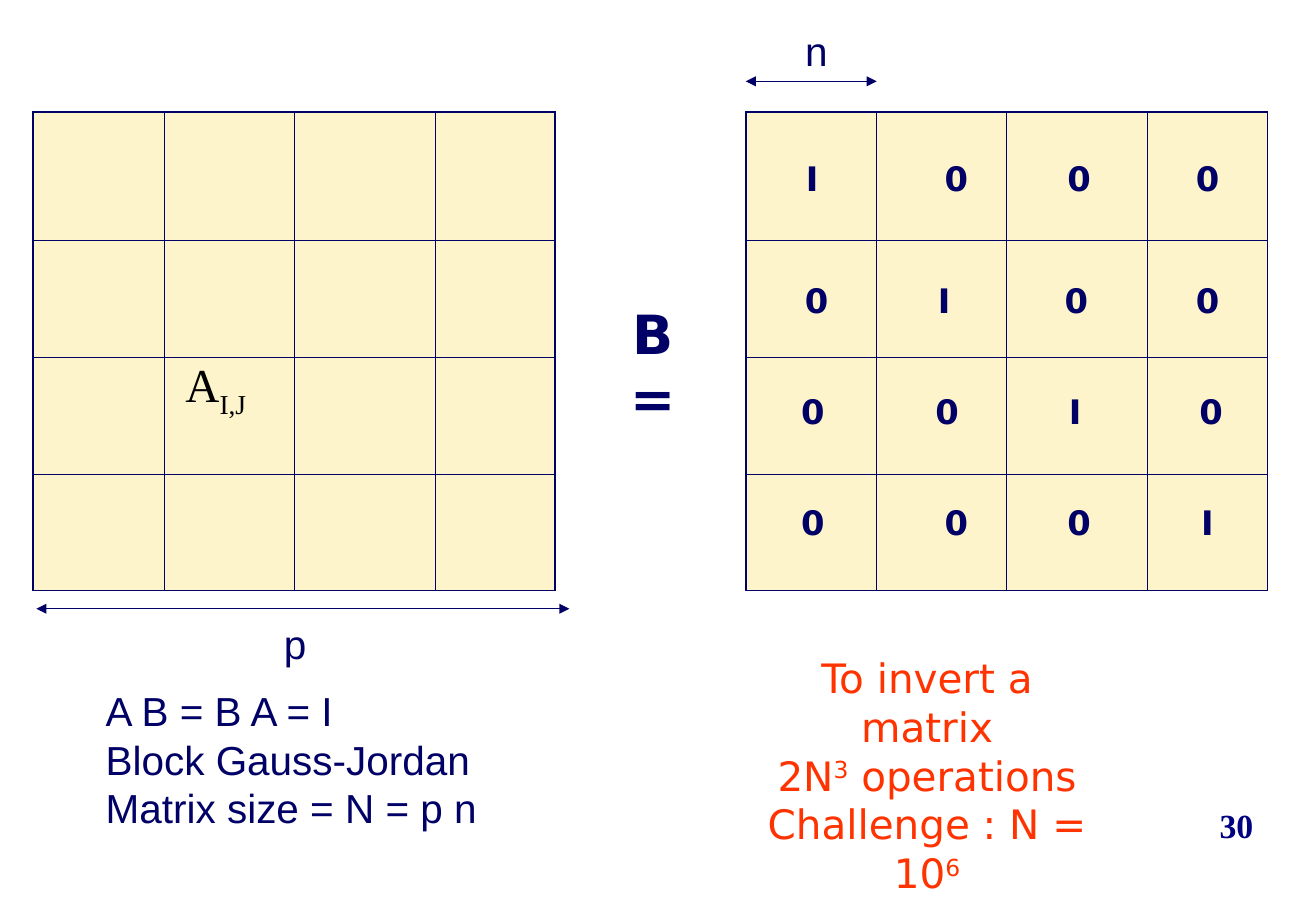
from lxml import etree
from pptx import Presentation
from pptx.dml.color import RGBColor
from pptx.enum import shapes, text
from pptx.oxml import ns
from pptx.util import Cm, Pt

NAVY = RGBColor(0x00, 0x00, 0x66)
PAGE_BLUE = RGBColor(0x00, 0x00, 0x80)
CREAM = RGBColor(0xFE, 0xF4, 0xCB)
RED = RGBColor(0xFF, 0x33, 0x00)
BLACK = RGBColor(0x00, 0x00, 0x00)
LEFT, CENTER, RIGHT = text.PP_ALIGN.LEFT, text.PP_ALIGN.CENTER, text.PP_ALIGN.RIGHT

deck = Presentation()
deck.slide_width, deck.slide_height = Cm(27.53), Cm(19.05)
slide = deck.slides.add_slide(deck.slide_layouts[6])


def write(frame, lines, size, font, color, align=LEFT, bold=False):
    for number, pieces in enumerate(lines):
        paragraph = frame.add_paragraph() if number else frame.paragraphs[0]
        paragraph.alignment = align
        paragraph.line_spacing = Pt(1.2 * size)
        paragraph.font.size = Pt(size)
        paragraph.font.name = font
        paragraph.font.bold = bold
        paragraph.font.color.rgb = color
        for wording, baseline in pieces:
            run = paragraph.add_run()
            run.text = wording
            if baseline:
                run._r.get_or_add_rPr().set("baseline", str(baseline * 1000))


def add_text(left, top, width, height, lines, size, font, color,
             align=LEFT, bold=False, wrap=False):
    box = slide.shapes.add_textbox(Cm(left), Cm(top), Cm(width), Cm(height))
    box.text_frame.word_wrap = wrap
    write(box.text_frame, lines, size, font, color, align, bold)
    return box


column_widths = [2.74, 2.72, 2.95, 2.51]
row_heights = [2.69, 2.44, 2.44, 2.44]
matrices = []
for matrix_left in (0.69, 15.6):
    matrix = slide.shapes.add_table(
        4, 4, Cm(matrix_left), Cm(2.34),
        Cm(sum(column_widths)), Cm(sum(row_heights))).table
    matrix.first_row = matrix.horz_banding = False
    for column, width in zip(matrix.columns, column_widths):
        column.width = Cm(width)
    for row, height in zip(matrix.rows, row_heights):
        row.height = Cm(height)
    for r in range(4):
        for c in range(4):
            block = matrix.cell(r, c)
            block.fill.solid()
            block.fill.fore_color.rgb = CREAM
            properties = block._tc.get_or_add_tcPr()
            outer_sides = {"lnL": c == 0, "lnR": c == 3, "lnT": r == 0, "lnB": r == 3}
            for position, (side, outer) in enumerate(outer_sides.items()):
                border = etree.Element(ns.qn(f"a:{side}"), w=str(Pt(1.08 if outer else 0.45)))
                paint = etree.SubElement(border, ns.qn("a:solidFill"))
                etree.SubElement(paint, ns.qn("a:srgbClr"), val=str(NAVY))
                properties.insert(position, border)
    matrices.append(matrix)

block_a = matrices[0].cell(2, 1)
block_a.margin_left = Cm(0.45)
write(block_a.text_frame, [[("A", 0), ("I,J", -25)]], 28, "Times New Roman", BLACK)

identity_tops = [3.18, 5.72, 8.05, 10.36]
identity_centers = [
    [16.99, 19.99, 22.56, 25.25],
    [17.07, 19.75, 22.5, 25.25],
    [16.99, 19.8, 22.49, 25.32],
    [16.99, 19.99, 22.56, 25.26],
]
for r, (top, centers) in enumerate(zip(identity_tops, identity_centers)):
    for c, center in enumerate(centers):
        entry = "I" if r == c else "0"
        add_text(center - 0.48, top, 0.96, 1.12, [[(entry, 0)]],
                 20, "DejaVu Sans", NAVY, CENTER, bold=True)

for start, end, level in ((0.76, 11.91, 12.73), (15.6, 18.34, 1.7)):
    span = slide.shapes.add_connector(
        shapes.MSO_CONNECTOR.STRAIGHT, Cm(start), Cm(level), Cm(end), Cm(level))
    span.line.color.rgb = NAVY
    span.line.width = Pt(0.75)
    outline = span.line._get_or_add_ln()
    for tip in ("a:headEnd", "a:tailEnd"):
        etree.SubElement(outline, ns.qn(tip), type="triangle")
    etree.SubElement(span._element.spPr, ns.qn("a:effectLst"))

add_text(16.51, 0.43, 1.14, 1.27, [[("n", 0)]], 24, "Arial", NAVY, CENTER)
add_text(5.69, 12.83, 0.97, 1.27, [[("p", 0)]], 24, "Arial", NAVY)
add_text(12.55, 6.15, 2.21, 1.63, [[("B =", 0)]], 32, "DejaVu Sans", NAVY,
         CENTER, bold=True, wrap=True)
add_text(1.96, 14.22, 23.6, 3.3,
         [[("A B = B A = I", 0)],
          [("Block Gauss-Jordan", 0)],
          [("Matrix size = N = p n", 0)]],
         24, "Arial", NAVY, wrap=True)
add_text(15.42, 13.54, 7.95, 3.3,
         [[("To invert a matrix", 0)],
          [("2N", 0), ("3", 30), (" operations", 0)],
          [("Challenge : N = 10", 0), ("6", 30)]],
         24, "DejaVu Sans", RED, CENTER, wrap=True)
page_number = add_text(22.23, 16.71, 4.24, 1.07, [[("30", 0)]],
                       20, "Times New Roman", PAGE_BLUE, RIGHT, bold=True, wrap=True)
page_number.text_frame.vertical_anchor = text.MSO_ANCHOR.MIDDLE

deck.save("out.pptx")
